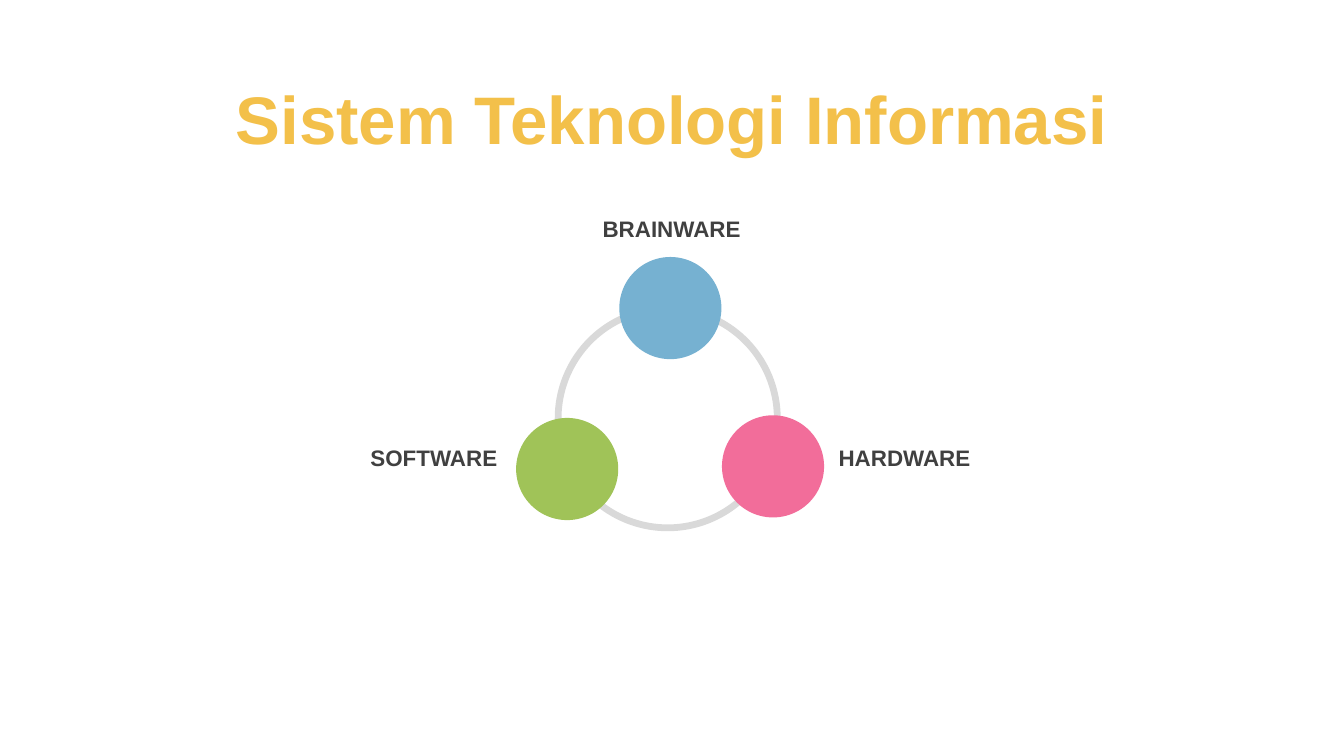
import pptx
import pptx.util
import pptx.dml.color
import pptx.enum.shapes
import pptx.enum.text

Cm = pptx.util.Cm
SHAPE = pptx.enum.shapes.MSO_SHAPE
ALIGN = pptx.enum.text.PP_ALIGN
ANCHOR = pptx.enum.text.MSO_ANCHOR

COLORS = {
    "title": "F3C04A",
    "label": "404040",
    "ring": "D9D9D9",
    "blue": "76B1D1",
    "green": "A0C358",
    "pink": "F26D9A",
}
WIDTH, HEIGHT = 25.4, 14.28
RING, DOT = 4.27, 1.93
LABEL_W, LABEL_H = 7.87, 0.76


class Painter:
    font = "Arial"

    def __init__(self, slide):
        self.slide = slide

    def color(self, name):
        return pptx.dml.color.RGBColor.from_string(COLORS[name])

    def round(self, kind, x, y, size, color):
        """Draw a round shape centred on x, y."""
        shape = self.slide.shapes.add_shape(
            kind, Cm(x - size / 2), Cm(y - size / 2), Cm(size), Cm(size))
        shape.shadow.inherit = False
        shape.fill.solid()
        shape.fill.fore_color.rgb = self.color(color)
        shape.line.fill.background()
        return shape

    def text(self, words, x, y, width, height, size, color,
             align=ALIGN.CENTER, anchor=ANCHOR.TOP):
        box = self.slide.shapes.add_textbox(Cm(x), Cm(y), Cm(width), Cm(height))
        frame = box.text_frame
        frame.word_wrap = True
        frame.vertical_anchor = anchor
        frame.text = words
        line = frame.paragraphs[0]
        line.alignment = align
        font = line.runs[0].font
        font.name = self.font
        font.size = pptx.util.Pt(size)
        font.bold = True
        font.color.rgb = self.color(color)


def main():
    deck = pptx.Presentation()
    deck.slide_width, deck.slide_height = Cm(WIDTH), Cm(HEIGHT)
    paint = Painter(deck.slides.add_slide(deck.slide_layouts[6]))

    ring = paint.round(SHAPE.DONUT, 12.62, 7.9, RING, "ring")
    ring.adjustments[0] = 0.03
    paint.text("Sistem Teknologi Informasi", 0, 1.14, WIDTH, 2.16, 36, "title",
               anchor=ANCHOR.MIDDLE)

    parts = [
        ("BRAINWARE", "blue", 12.67, 5.82, 8.76, 3.94, ALIGN.CENTER),
        ("SOFTWARE", "green", 10.72, 8.86, 1.78, 8.26, ALIGN.RIGHT),
        ("HARDWARE", "pink", 14.61, 8.81, 15.6, 8.26, ALIGN.LEFT),
    ]
    for name, color, x, y, left, top, align in parts:
        paint.round(SHAPE.OVAL, x, y, DOT, color)
        paint.text(name, left, top, LABEL_W, LABEL_H, 12, "label", align)

    deck.save("out.pptx")


if __name__ == "__main__":
    main()
